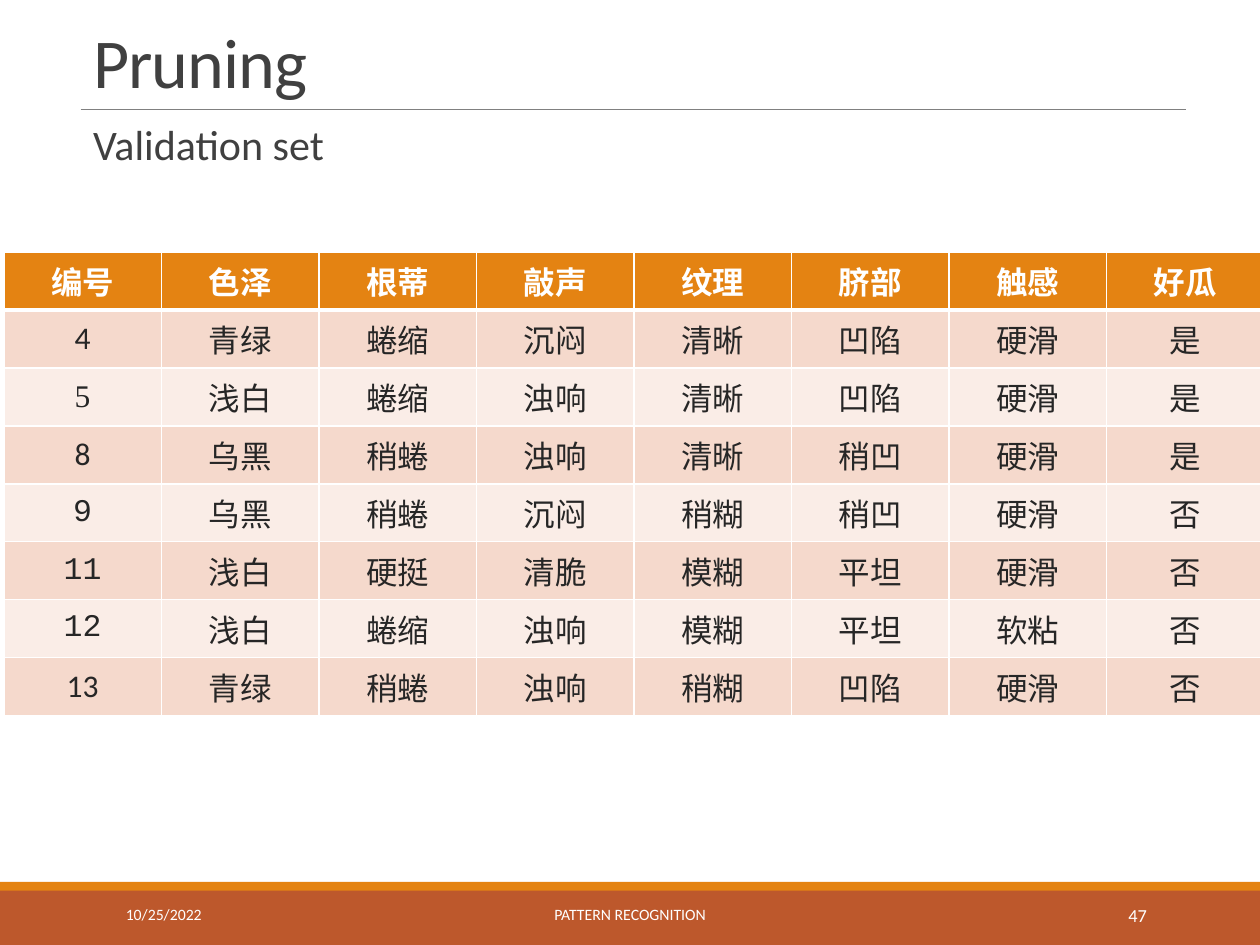
from lxml.etree import SubElement
from pptx import Presentation
from pptx.dml.color import RGBColor
from pptx.enum.shapes import MSO_CONNECTOR as Line, MSO_SHAPE as Shape
from pptx.enum.text import MSO_ANCHOR as Anchor, MSO_AUTO_SIZE as Fit, PP_ALIGN as Align
from pptx.oxml.ns import qn
from pptx.util import Inches, Pt

WHITE = RGBColor(0xFF, 0xFF, 0xFF)
RUST = RGBColor(0xBD, 0x58, 0x2C)
ORANGE = RGBColor(0xE4, 0x83, 0x12)
GRAY = RGBColor(0x80, 0x80, 0x80)
DARK = RGBColor(0x40, 0x40, 0x40)
INK = RGBColor(0x26, 0x26, 0x26)
ROSE = RGBColor(0xF5, 0xD9, 0xCC)
PALE = RGBColor(0xFA, 0xED, 0xE7)

SANS, SERIF, MONO = "Calibri", "Times New Roman", "Courier New"

MELONS = [row.split() for row in (
    "编号 色泽 根蒂 敲声 纹理 脐部 触感 好瓜",
    "4 青绿 蜷缩 沉闷 清晰 凹陷 硬滑 是",
    "5 浅白 蜷缩 浊响 清晰 凹陷 硬滑 是",
    "8 乌黑 稍蜷 浊响 清晰 稍凹 硬滑 是",
    "9 乌黑 稍蜷 沉闷 稍糊 稍凹 硬滑 否",
    "11 浅白 硬挺 清脆 模糊 平坦 硬滑 否",
    "12 浅白 蜷缩 浊响 模糊 平坦 软粘 否",
    "13 青绿 稍蜷 浊响 稍糊 凹陷 硬滑 否",
)]
# Columns of each row that are not set in the sans font
MONO_COLS = {3: (5,), 4: (0, 5, 7), 5: (0, 2, 5, 7), 6: (0, 2, 5, 7)}
SERIF_COLS = {1: (3,), 2: (0, 7), 4: (3,), 5: (3,)}


def style(obj, props):
    for name, value in props.items():
        setattr(obj, name, value)


def write(frame, text, size, color, font=SANS, bold=False, **para):
    """Put one formatted run in the frame and return it."""
    line = frame.paragraphs[0]
    style(line, para)
    run = line.add_run()
    run.text = text
    style(run.font, {"size": Pt(size), "name": font, "bold": bold})
    run.font.color.rgb = color
    return run


def add_bar(slide, top, height, color):
    bar = slide.shapes.add_shape(
        Shape.RECTANGLE, 0, Inches(top), Inches(10), Inches(height))
    bar.shadow.inherit = False
    bar.fill.solid()
    bar.fill.fore_color.rgb = color
    bar.line.fill.background()


def add_rule(slide):
    rule = slide.shapes.add_connector(
        Line.STRAIGHT, Inches(0.64), Inches(0.87), Inches(9.41), Inches(0.87))
    rule.line.color.rgb = GRAY
    rule.line.width = Pt(0.5)
    SubElement(rule._element.spPr, qn("a:effectLst"))


def set_title(slide, text):
    title = slide.shapes.title
    style(title, {"left": Inches(0.64), "top": Inches(0.13),
                  "width": Inches(8.77), "height": Inches(0.74)})
    frame = title.text_frame
    style(frame, {"vertical_anchor": Anchor.BOTTOM, "auto_size": Fit.NONE})
    run = write(frame, text, 40, DARK, alignment=Align.LEFT, line_spacing=0.85)
    run._r.get_or_add_rPr().set("spc", "-50")


def add_text(slide, box, text, size, color, anchor=Anchor.MIDDLE, **para):
    frame = slide.shapes.add_textbox(*map(Inches, box)).text_frame
    style(frame, {"word_wrap": True, "vertical_anchor": anchor})
    write(frame, text, size, color, **para)


def set_edges(cell, widths):
    """Draw white borders; widths maps an edge tag to points."""
    props = cell._tc.get_or_add_tcPr()
    for spot, (tag, width) in enumerate(widths.items()):
        edge = SubElement(props, qn("a:" + tag), w=str(Pt(width)))
        fill = SubElement(edge, qn("a:solidFill"))
        SubElement(fill, qn("a:srgbClr"), val=str(WHITE))
        props.insert(spot, edge)


def pick_font(row, col):
    if col in MONO_COLS.get(row, ()):
        return MONO
    return SERIF if col in SERIF_COLS.get(row, ()) else SANS


def add_grid(slide, rows):
    count, width = len(rows), len(rows[0])
    table = slide.shapes.add_table(
        count, width, Inches(0.03), Inches(2), Inches(10),
        Inches(0.46 * count)).table
    table.horz_banding = False
    for r, row in enumerate(rows):
        head = r == 0
        shade = ORANGE if head else (PALE, ROSE)[r % 2]
        edges = {"lnL": 1, "lnR": 1, "lnT": 3 if r == 1 else 1,
                 "lnB": 3 if head else 1}
        for c, text in enumerate(row):
            cell = table.cell(r, c)
            cell.vertical_anchor = Anchor.MIDDLE
            cell.fill.solid()
            cell.fill.fore_color.rgb = shade
            set_edges(cell, edges)
            write(cell.text_frame, text, 18, WHITE if head else INK,
                  pick_font(r, c), head, alignment=Align.CENTER)


def main():
    deck = Presentation()
    style(deck, {"slide_width": Inches(10), "slide_height": Inches(7.5)})
    slide = deck.slides.add_slide(deck.slide_layouts[5])
    add_bar(slide, 7.06, 0.44, RUST)
    add_bar(slide, 7, 0.07, ORANGE)
    add_rule(slide)
    set_title(slide, "Pruning")
    add_text(slide, (0.64, 0.94, 8.77, 5.95), "Validation set", 24, DARK,
             Anchor.TOP, line_spacing=0.9, space_after=Pt(2))
    for left, width, text, size, align in (
            (0.9, 2.03, "10/25/2022", 9, Align.LEFT),
            (3.02, 3.96, "PATTERN RECOGNITION", 9, Align.CENTER),
            (8.12, 1.08, "47", 10.5, Align.RIGHT)):
        add_text(slide, (left, 7.06, width, 0.4), text, size, WHITE, alignment=align)
    add_grid(slide, MELONS)
    deck.save("out.pptx")


if __name__ == "__main__":
    main()
